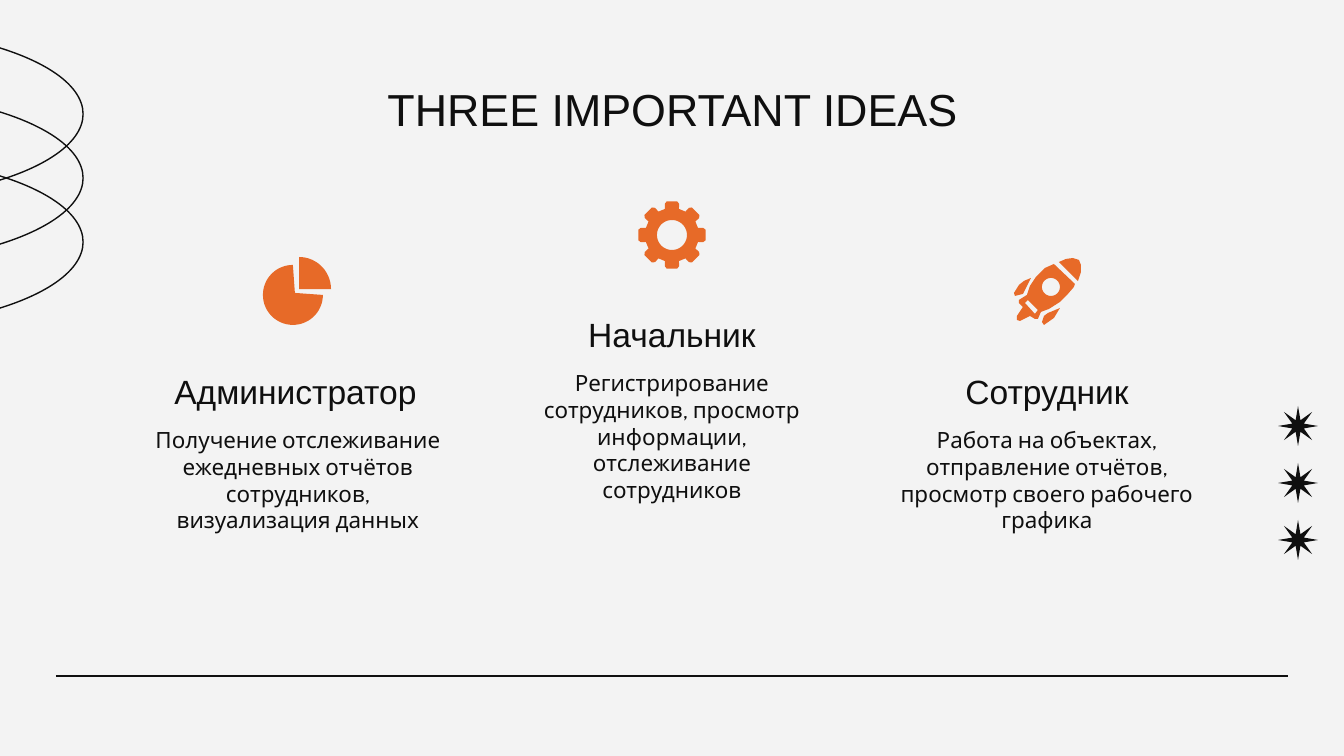
from math import cos, radians, sin

from lxml.etree import SubElement
from pptx import Presentation
from pptx.dml.color import RGBColor
from pptx.enum.shapes import MSO_CONNECTOR as Link, MSO_SHAPE as Kind
from pptx.enum.text import MSO_ANCHOR as Anchor, PP_ALIGN as Align
from pptx.oxml.ns import qn
from pptx.util import Emu, Pt

INK = RGBColor(0x0F, 0x0F, 0x0F)
ORANGE = RGBColor(0xE7, 0x6A, 0x28)
PAPER = RGBColor(0xF3, 0xF3, 0xF3)
SCALE = 914400 / 134.4

# Column left, top of the body text, heading left and width, heading, body
ROLES = [
    (138, 413, 106, 379, "Администратор",
     "Получение отслеживание ежедневных отчётов сотрудников, "
     "визуализация данных"),
    (512, 356, 512, 320, "Начальник",
     "Регистрирование сотрудников, просмотр информации, "
     "отслеживание сотрудников"),
    (887, 413, 887, 320, "Сотрудник",
     "Работа на объектах, отправление отчётов, "
     "просмотр своего рабочего графика"),
]

# Rocket outlines
HULL = [(1054, 264), (1045, 268), (1036, 277), (1030, 286), (1027, 295),
        (1019, 300), (1019, 303), (1023, 307), (1017, 316), (1017, 320),
        (1020, 321), (1030, 316), (1035, 319), (1038, 319), (1041, 312),
        (1049, 309), (1060, 302), (1068, 294), (1074, 287), (1075, 284)]
SLOT = [(1028, 300), (1038, 310), (1035, 314), (1025, 303)]
NOSE = [(1073, 258), (1066, 259), (1059, 262), (1078, 281), (1081, 272),
        (1081, 265), (1079, 260)]
LOW_FIN = [(1060, 308), (1048, 313), (1044, 316), (1042, 322),
           (1044, 325), (1054, 318)]
LEFT_FIN = [(1031, 278), (1024, 281), (1019, 285), (1014, 293),
            (1015, 296), (1023, 294), (1026, 288)]


def px(num):
    return Emu(round(num * SCALE))


def write(shape, text, size=12, font="Cabin", anchor=Anchor.TOP):
    frame = shape.text_frame
    frame.word_wrap = True
    frame.vertical_anchor = anchor
    frame.margin_left = frame.margin_right = px(13)
    frame.margin_top = frame.margin_bottom = px(13)
    para = frame.paragraphs[0]
    para.alignment = Align.CENTER
    run = para.add_run()
    run.text = text
    run.font.size = Pt(size)
    run.font.name = font
    run.font.color.rgb = INK


def add_text(slide, box, text, **style):
    write(slide.shapes.add_textbox(*map(px, box)), text, **style)


def add_preset(slide, kind, box, turn):
    shape = slide.shapes.add_shape(kind, *map(px, box))
    shape.shadow.inherit = False
    shape.rotation = turn
    return shape


def arc(mid, radius, start=0, end=360, step=6):
    return [(mid[0] + radius * cos(radians(deg)),
             mid[1] + radius * sin(radians(deg)))
            for deg in range(start, end + 1, step)]


def add_outline(slide, *rings):
    """Fill the first ring; later rings run the other way and cut holes."""
    rings = [[(px(x), px(y)) for x, y in ring] for ring in rings]
    pen = slide.shapes.build_freeform(*rings[0][0], scale=1)
    for ring in rings:
        pen.move_to(*ring[0])
        pen.add_line_segments(ring[1:], close=True)
    shape = pen.convert_to_shape()
    shape.shadow.inherit = False
    shape.fill.solid()
    shape.fill.fore_color.rgb = ORANGE
    shape.line.fill.background()


def add_decor(slide):
    for row in range(3):
        star = add_preset(slide, Kind.STAR_8_POINT,
                          (1278, 406 + 57 * row, 40, 40), 180)
        star.adjustments[0] = 0.156
        star.fill.solid()
        star.fill.fore_color.rgb = INK
        star.line.fill.background()
    for row in range(3):
        loop = add_preset(slide, Kind.OVAL,
                          (-234, -117 + 64 * row, 172, 462), 90)
        loop.fill.background()
        loop.line.color.rgb = INK
        loop.line.width = Pt(0.75)
    rule = slide.shapes.add_connector(
        Link.STRAIGHT, px(56), px(676), px(1288), px(676))
    rule.line.color.rgb = INK
    rule.line.width = Pt(0.75)
    SubElement(rule._element.spPr, qn("a:effectLst"))


def add_icons(slide):
    # Pie
    add_outline(slide, [(295, 293)] + arc((293, 295), 30, 0, 270))
    add_outline(slide, [(299, 289)] + arc((299, 289), 32, -90, 0))
    # Gear
    hub = (672, 235)
    tooth = [(27, -15), (32, -13), (34, -9), (34, 9), (32, 13), (27, 15)]
    rim = [arc(hub, radius, 45 * num + deg, 45 * num + deg)[0]
           for num in range(8) for radius, deg in tooth]
    add_outline(slide, rim, arc(hub, 15)[::-1])
    # Rocket
    add_outline(slide, HULL, arc((1051, 287), 9), SLOT)
    for part in (NOSE, LOW_FIN, LEFT_FIN):
        add_outline(slide, part)


def main():
    deck = Presentation()
    deck.slide_width, deck.slide_height = px(1344), px(756)
    slide = deck.slides.add_slide(deck.slide_layouts[5])
    slide.background.fill.solid()
    slide.background.fill.fore_color.rgb = PAPER
    add_decor(slide)

    # Title
    title = slide.shapes.title
    title.left, title.top, title.width, title.height = map(
        px, (106, 66, 1133, 85))
    write(title, "THREE IMPORTANT IDEAS", size=24, font="Arial",
          anchor=Anchor.MIDDLE)

    # Roles
    for left, top, start, width, head, body in ROLES:
        add_text(slide, (left, top, 320, 222), body)
        add_text(slide, (start, top - 74, width, 85), head, size=18,
                 font="Arial", anchor=Anchor.BOTTOM)
    add_icons(slide)
    deck.save("out.pptx")


if __name__ == "__main__":
    main()
